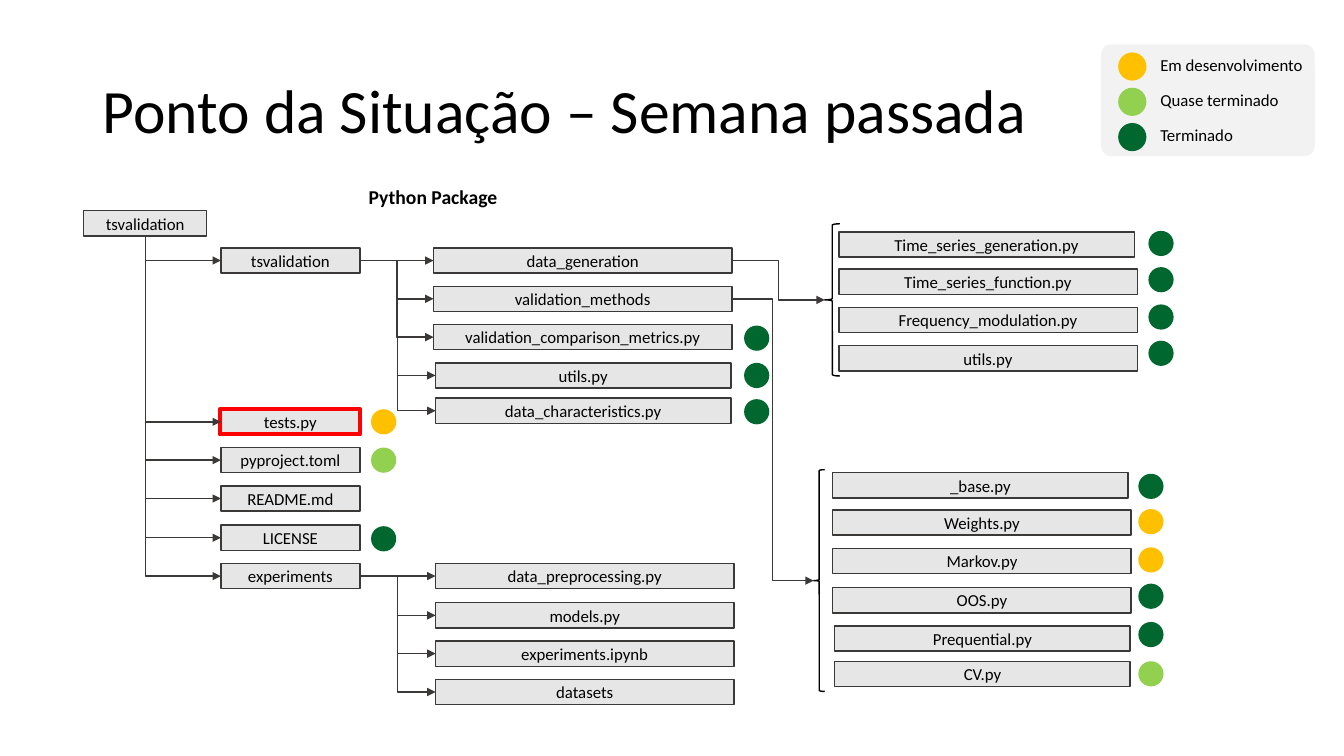
from lxml import etree
from pptx import Presentation
from pptx.dml.color import RGBColor
from pptx.enum import shapes, text
from pptx.oxml import ns
from pptx.util import Inches, Pt

COLORS = {
    "panel": "F2F2F2", "box": "E7E6E6", "edge": "3B3838", "ink": "000000",
    "highlight": "FF0000", "developing": "FFC000", "almost": "92D050", "done": "00682F",
}
SHAPE = shapes.MSO_SHAPE


def draw(container, kind, at, fill=None, line=None, weight=1):
    shape = container.add_shape(kind, *map(Inches, at))
    shape.shadow.inherit = False
    if fill:
        shape.fill.solid()
        shape.fill.fore_color.rgb = RGBColor.from_string(COLORS[fill])
    else:
        shape.fill.background()
    if line:
        shape.line.color.rgb = RGBColor.from_string(COLORS[line])
        shape.line.width = Pt(weight)
    else:
        shape.line.fill.background()
    return shape


def write(shape, wording, size=12, align=text.PP_ALIGN.CENTER, bold=False):
    shape.text_frame.text = wording
    paragraph = shape.text_frame.paragraphs[0]
    paragraph.alignment = align
    font = paragraph.runs[0].font
    font.name, font.size, font.bold = "Calibri", Pt(size), bold
    font.color.rgb = RGBColor.from_string(COLORS["ink"])
    return paragraph


prs = Presentation()
prs.slide_width, prs.slide_height = Inches(13.33), Inches(7.5)
slide = prs.slides.add_slide(prs.slide_layouts[5])
canvas = slide.shapes

title = canvas.title
title.left, title.top, title.width, title.height = map(Inches, (0.92, 0.4, 11.5, 1.45))
title.text_frame.vertical_anchor = text.MSO_ANCHOR.MIDDLE
heading = write(title, "Ponto da Situação – Semana passada", 44, text.PP_ALIGN.LEFT)
heading.line_spacing = 0.9

legend_panel = draw(canvas, SHAPE.ROUNDED_RECTANGLE, (10.92, 0.44, 2.12, 1.11), "panel")
legend_panel.adjustments[0] = 0.088
legend = [("Em desenvolvimento", "developing", 1.63), ("Quase terminado", "almost", 1.39),
          ("Terminado", "done", 0.93)]
for row, (meaning, status, width) in enumerate(legend):
    entry = canvas.add_group_shape().shapes
    top = 0.52 + 0.35 * row
    draw(entry, SHAPE.OVAL, (11.09, top, 0.28, 0.28), status)
    label = entry.add_textbox(*map(Inches, (11.41, top - 0.03, width, 0.3)))
    label.text_frame.word_wrap = False
    write(label, meaning, align=text.PP_ALIGN.LEFT)

caption = canvas.add_textbox(*map(Inches, (3.55, 1.79, 1.49, 0.34)))
caption.text_frame.word_wrap = False
write(caption, "Python Package", 14, bold=True)

columns = {
    "root": [("tsvalidation", 0.83, 2.09, 1.22)],
    "package": [
        ("tsvalidation", 2.19, 2.46, 1.38),
        ("tests.py", 2.19, 4.06, 1.38),
        ("pyproject.toml", 2.19, 4.44, 1.38),
        ("README.md", 2.19, 4.82, 1.38),
        ("LICENSE", 2.19, 5.21, 1.38),
        ("experiments", 2.19, 5.59, 1.38),
    ],
    "modules": [
        ("data_generation", 4.3, 2.46, 2.96),
        ("validation_methods", 4.3, 2.84, 2.96),
        ("validation_comparison_metrics.py", 4.3, 3.22, 2.96),
        ("utils.py", 4.32, 3.6, 2.93),
        ("data_characteristics.py", 4.32, 3.95, 2.93),
    ],
    "experiments": [
        ("data_preprocessing.py", 4.32, 5.59, 2.96),
        ("models.py", 4.32, 5.98, 2.96),
        ("experiments.ipynb", 4.32, 6.36, 2.96),
        ("datasets", 4.32, 6.74, 2.96),
    ],
    "generation": [
        ("Time_series_generation.py", 8.32, 2.3, 2.93),
        ("Time_series_function.py", 8.32, 2.67, 2.96),
        ("Frequency_modulation.py", 8.32, 3.05, 2.96),
        ("utils.py", 8.32, 3.43, 2.96),
    ],
    "validation": [
        ("_base.py", 8.26, 4.69, 2.93),
        ("Weights.py", 8.26, 5.06, 2.96),
        ("Markov.py", 8.26, 5.44, 2.96),
        ("OOS.py", 8.26, 5.83, 2.96),
        ("Prequential.py", 8.28, 6.21, 2.93),
        ("CV.py", 8.28, 6.56, 2.93),
    ],
}
nodes = {}
for column, files in columns.items():
    nodes[column] = []
    for name, left, top, width in files:
        node = draw(canvas, SHAPE.RECTANGLE, (left, top, width, 0.25), "box", "edge")
        node.text_frame.vertical_anchor = text.MSO_ANCHOR.MIDDLE
        write(node, name)
        nodes[column].append(node)
draw(canvas, SHAPE.RECTANGLE, (2.18, 4.06, 1.39, 0.25), line="highlight", weight=3)

generation_brace = draw(canvas, SHAPE.LEFT_BRACE, (8.18, 2.22, 0.15, 1.51), line="ink")
validation_brace = draw(canvas, SHAPE.LEFT_BRACE, (8.07, 4.66, 0.11, 2.2), line="ink")

branches = [
    (nodes["root"][0], 2, nodes["package"]),
    (nodes["package"][0], 3, nodes["modules"]),
    (nodes["package"][-1], 3, nodes["experiments"]),
    (nodes["modules"][0], 3, [generation_brace]),
    (nodes["modules"][1], 3, [validation_brace]),
]
for parent, side, children in branches:
    for child in children:
        level = side == 3 and parent.top == child.top
        kind = shapes.MSO_CONNECTOR.STRAIGHT if level else shapes.MSO_CONNECTOR.ELBOW
        link = canvas.add_connector(kind, 0, 0, 0, 0)
        link.begin_connect(parent, side)
        link.end_connect(child, 1)
        link.line.color.rgb = RGBColor.from_string(COLORS["edge"])
        link.line.width = Pt(1)
        properties = link.line._get_or_add_ln()
        etree.SubElement(properties, ns.qn("a:tailEnd"), type="triangle")
        etree.SubElement(link._element.spPr, ns.qn("a:effectLst"))
        if side == 2:
            across, down = link.width, link.height
            link.left += (across - down) // 2
            link.top += (down - across) // 2
            link.width, link.height = down, across
            frame = link._element.spPr.find(ns.qn("a:xfrm"))
            frame.set("rot", "16200000")
            frame.set("flipH", "1")
            link._element.spPr.find(ns.qn("a:prstGeom")).set("prst", "bentConnector2")

status_dots = [
    (3.68, [(4.06, "developing"), (4.44, "almost"), (5.22, "done")]),
    (7.38, [(3.23, "done"), (3.6, "done"), (3.96, "done")]),
    (11.39, [(2.29, "done"), (2.65, "done"), (3.02, "done"), (3.38, "done")]),
    (11.29, [(4.7, "done"), (5.05, "developing"), (5.43, "developing"),
             (5.79, "done"), (6.17, "done"), (6.56, "almost")]),
]
for left, dots in status_dots:
    for top, status in dots:
        draw(canvas, SHAPE.OVAL, (left, top, 0.25, 0.25), status)

prs.save("out.pptx")
